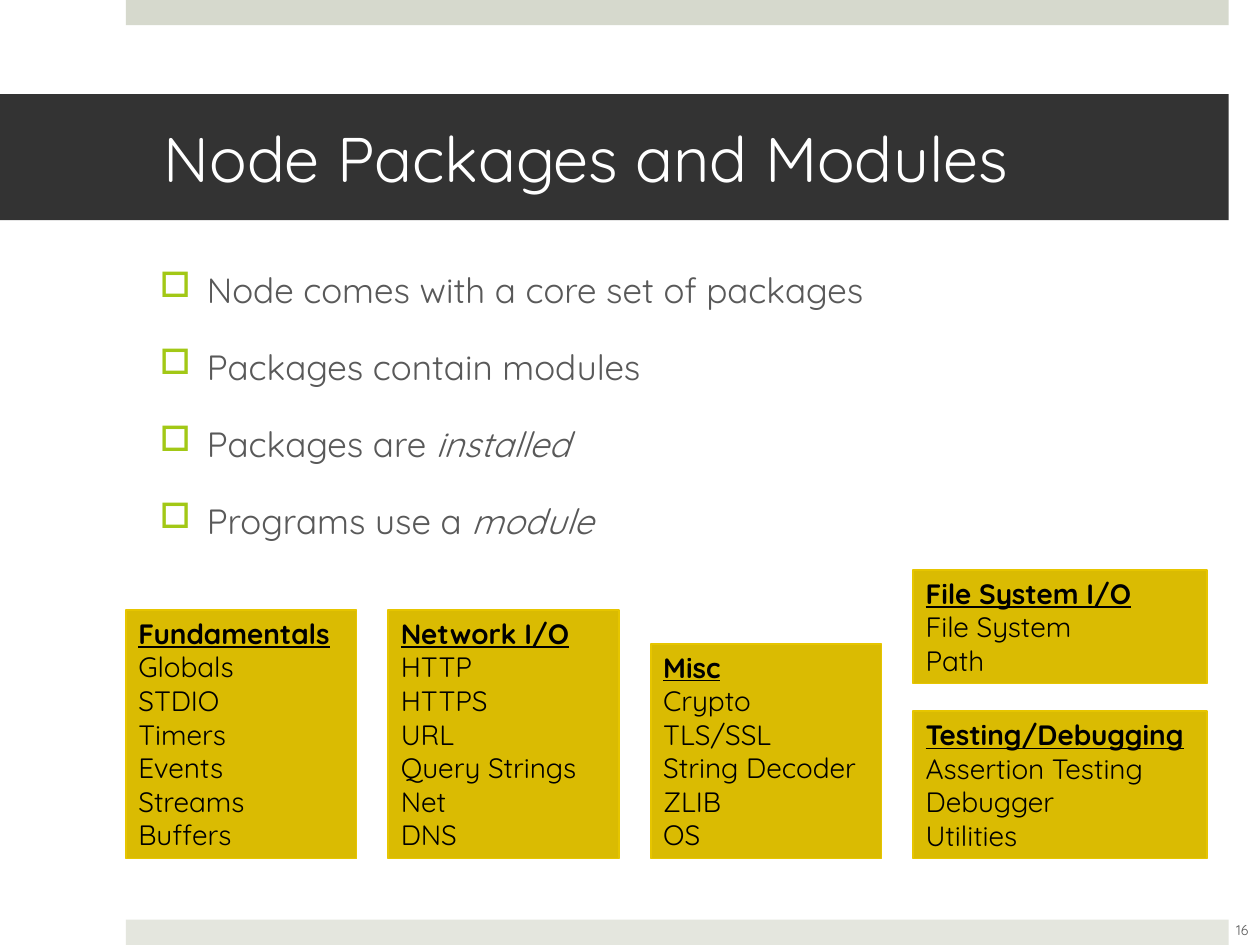
from lxml import etree
from pptx import Presentation
from pptx.dml.color import RGBColor
from pptx.enum.shapes import MSO_SHAPE
from pptx.enum.text import MSO_ANCHOR, MSO_AUTO_SIZE, PP_ALIGN
from pptx.oxml.ns import qn
from pptx.util import Cm, Pt

RECT = MSO_SHAPE.RECTANGLE
TOP, MIDDLE = MSO_ANCHOR.TOP, MSO_ANCHOR.MIDDLE
LEFT, CENTER = PP_ALIGN.LEFT, PP_ALIGN.CENTER
GROW = MSO_AUTO_SIZE.SHAPE_TO_FIT_TEXT
FONT = "Quicksand"
COLORS = {
    "top": "D6D9CD", "bottom": "E4E6DE", "band": "333333", "title": "FFFFFF",
    "body": "595959", "bullet": "A2C816", "box": "DABB02", "edge": "E6C500",
    "text": "000000",
}

TITLE = "Node Packages and Modules"
NUMBER = "16"
BULLETS = [
    ("Node comes with a core set of packages", ""),
    ("Packages contain modules", ""),
    ("Packages are ", "installed"),
    ("Programs use a ", "module"),
]
COLUMNS = [
    [["Fundamentals", "Globals", "STDIO", "Timers", "Events", "Streams", "Buffers"]],
    [["Network I/O", "HTTP", "HTTPS", "URL", "Query Strings", "Net", "DNS"]],
    [["Misc", "Crypto", "TLS/SSL", "String Decoder", "ZLIB", "OS"]],
    [["Testing/Debugging", "Assertion Testing", "Debugger", "Utilities"],
     ["File System I/O", "File System", "Path"]],
]
WIDTHS = [4.65, 4.65, 4.65, 5.92]
BOX_LEFT, BOX_BOTTOM, COL_GAP, ROW_GAP = 2.54, 17.31, 0.64, 0.56
LINE_H, PAD_H = 0.68, 0.25


def rgb(name):
    return RGBColor.from_string(COLORS[name])


def add_rect(x, y, w, h, fill, line=None):
    sp = s.shapes.add_shape(RECT, Cm(x), Cm(y), Cm(w), Cm(h))
    sp.shadow.inherit = False
    sp.fill.solid()
    sp.fill.fore_color.rgb = rgb(fill)
    if line:
        sp.line.color.rgb = rgb(line)
        sp.line.width = Pt(1)
    else:
        sp.line.fill.background()
    return sp


def add_text(x, y, w, h):
    tf = s.shapes.add_textbox(Cm(x), Cm(y), Cm(w), Cm(h)).text_frame
    tf.word_wrap = True
    return tf


def style(p, size, color, align=LEFT):
    p.font.name, p.font.size = FONT, Pt(size)
    p.font.color.rgb = rgb(color)
    p.alignment = align


def paragraphs(tf, count):
    return [tf.paragraphs[0]] + [tf.add_paragraph() for _ in range(count - 1)]


def set_bullet(p, char):
    pPr = p._p.get_or_add_pPr()
    pPr.set("marL", str(Cm(0.95)))
    pPr.set("indent", str(-Cm(0.95)))
    color = etree.Element(qn("a:buClr"))
    etree.SubElement(color, qn("a:srgbClr"), val=COLORS["bullet"])
    mark = etree.Element(qn("a:buChar"), char=char)
    defaults = pPr.find(qn("a:defRPr"))
    defaults.addprevious(color)
    defaults.addprevious(mark)


def add_box(x, y, w, h, lines):
    tf = add_rect(x, y, w, h, "box", "edge").text_frame
    tf.word_wrap, tf.vertical_anchor, tf.auto_size = True, TOP, GROW
    for i, (p, line) in enumerate(zip(paragraphs(tf, len(lines)), lines)):
        p.text = line
        style(p, 16, "text")
        p.font.bold = p.font.underline = i == 0


prs = Presentation()
prs.slide_width, prs.slide_height = Cm(25.4), Cm(19.05)
s = prs.slides.add_slide(prs.slide_layouts[6])

add_rect(2.54, 0, 22.23, 0.51, "top")
add_rect(2.54, 18.54, 22.23, 0.51, "bottom")

tf = add_rect(0, 1.9, 24.77, 2.54, "band").text_frame
tf.margin_left, tf.margin_right = Cm(3.3), Cm(0.76)
tf.word_wrap, tf.vertical_anchor = True, MIDDLE
tf.text = TITLE
style(tf.paragraphs[0], 36, "title")

tf = add_text(2.97, 5.28, 21.13, 11.48)
for p, (plain, italic) in zip(paragraphs(tf, len(BULLETS)), BULLETS):
    p.add_run().text = plain
    if italic:
        r = p.add_run()
        r.text, r.font.italic = italic, True
    style(p, 20, "body")
    p.space_before = Pt(20)
    set_bullet(p, "□")

tf = add_text(24.41, 18.24, 1.27, 1.02)
tf.vertical_anchor = MIDDLE
tf.text = NUMBER
style(tf.paragraphs[0], 8, "body", CENTER)

x = BOX_LEFT
for width, boxes in zip(WIDTHS, COLUMNS):
    bottom = BOX_BOTTOM
    for lines in boxes:
        height = PAD_H + LINE_H * len(lines)
        add_box(x, bottom - height, width, height, lines)
        bottom -= height + ROW_GAP
    x += width + COL_GAP

prs.save("out.pptx")
